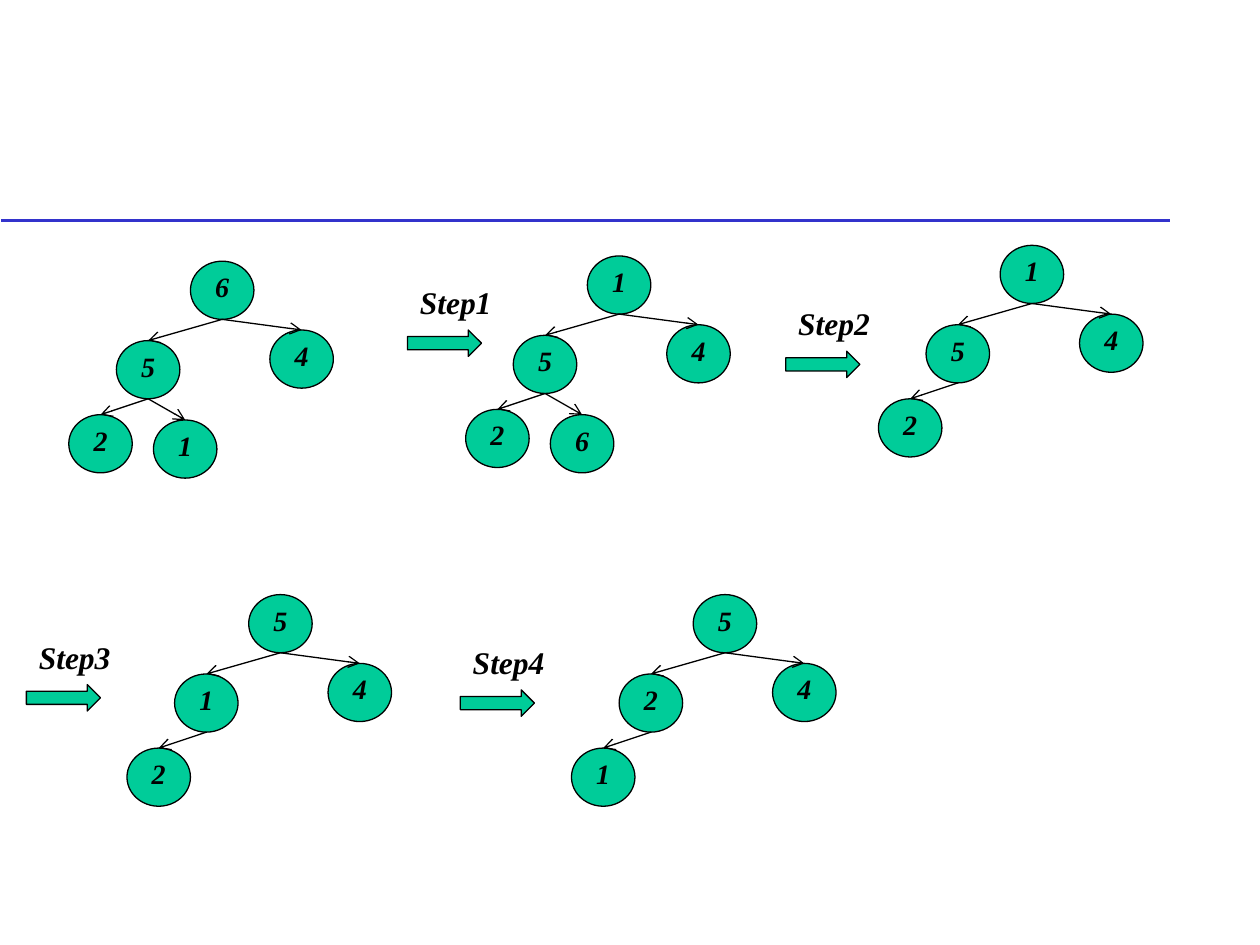
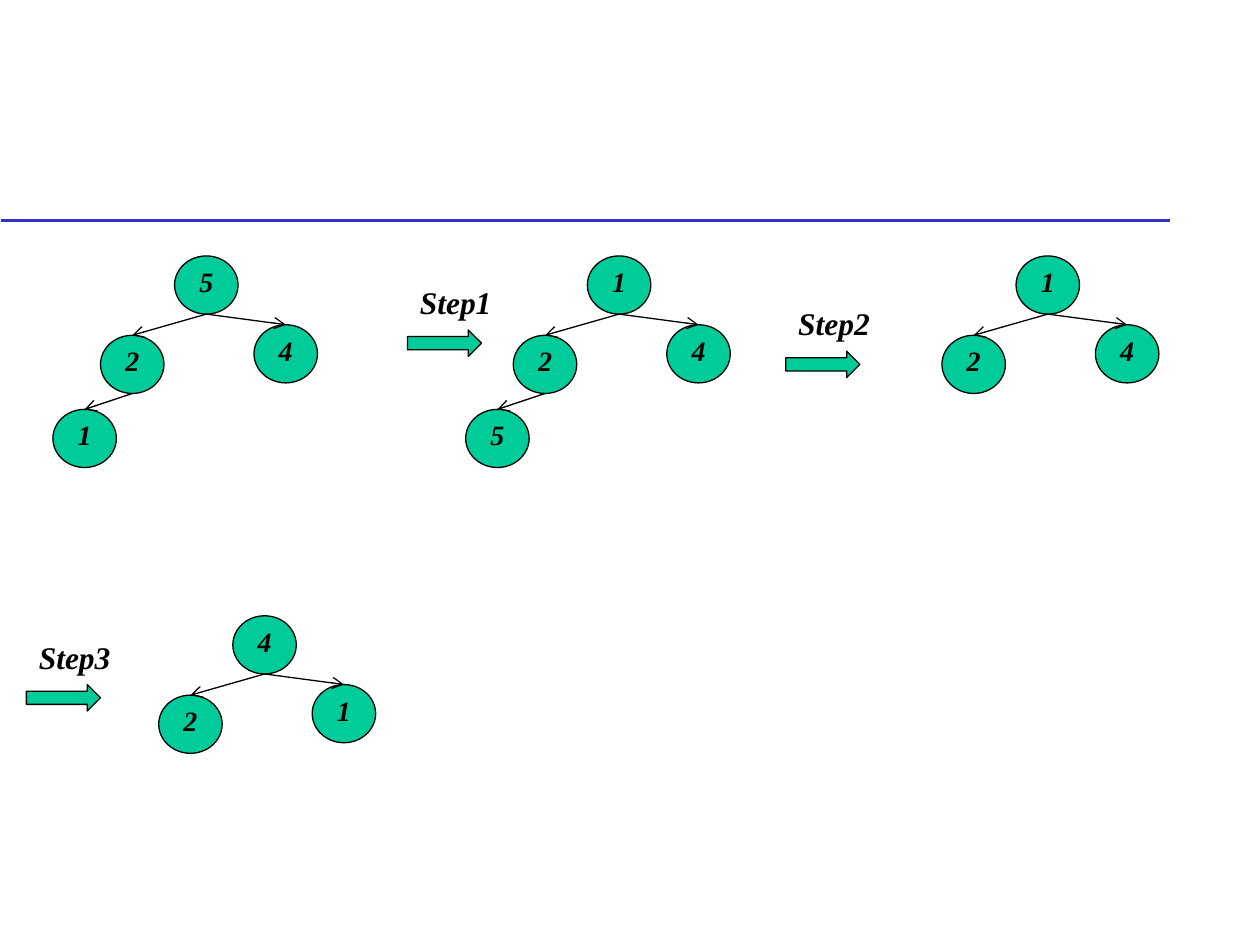
import dataclasses
import typing

import lxml.etree
import pptx
import pptx.dml.color
import pptx.enum.shapes
import pptx.enum.text
import pptx.oxml.ns
import pptx.util

GREEN = pptx.dml.color.RGBColor(0x00, 0xCC, 0x99)
BLACK = pptx.dml.color.RGBColor(0x00, 0x00, 0x00)
BLUE = pptx.dml.color.RGBColor(0x33, 0x33, 0xCC)
FONT = "Times New Roman"
SHAPES = pptx.enum.shapes.MSO_SHAPE

# Grid: square cells, counted from the left edge and from just below the top edge.
CELL = 0.042
TOP_MARGIN = 0.015
NODE_COLS, NODE_ROWS = 12, 11
ARROW_COLS, ARROW_ROWS = 14, 5
LABEL_COLS, LABEL_ROWS = 18.5, 9.5
LABEL_RISE = 10
RULE_START, RULE_END, RULE_ROW = 0.25, 221, 41.3

# Column and row of each heap position, relative to the root.
HEAP_OFFSETS = ((0, 0), (-14, 15), (15, 13), (-23, 29), (-7, 30))


@dataclasses.dataclass(frozen=True)
class Heap:
    """A heap in level order, with the column and row of its root."""
    col: float
    row: float
    keys: str


@dataclasses.dataclass(frozen=True)
class Step:
    col: float
    row: float


STEP_1, STEP_2, STEP_3 = Step(77, 62), Step(148.5, 66), Step(5, 129)
SLIDES = (
    (
        (STEP_1, STEP_2, STEP_3, Step(87, 130)),
        (
            Heap(36, 49, "65421"),
            Heap(111, 48, "15426"),
            Heap(189, 46, "1542"),
            Heap(47, 112, "5142"),
            Heap(131, 112, "5241"),
        ),
    ),
    (
        (STEP_1, STEP_2, STEP_3),
        (
            Heap(33, 48, "5241"),
            Heap(111, 48, "1245"),
            Heap(192, 48, "124"),
            Heap(44, 116, "421"),
        ),
    ),
)


def span(cells: float) -> pptx.util.Length:
    return pptx.util.Inches(cells * CELL)


def down(row: float) -> pptx.util.Length:
    return pptx.util.Inches(TOP_MARGIN + row * CELL)


def write(frame: typing.Any, text: str, *, size: float,
          align: typing.Any = None) -> None:
    paragraph = frame.paragraphs[0]
    paragraph.alignment = align
    run = paragraph.add_run()
    run.text = text
    run.font.name = FONT
    run.font.size = pptx.util.Pt(size)
    run.font.bold = run.font.italic = True
    run.font.color.rgb = BLACK


def draw_line(shapes: typing.Any, start: tuple[float, float], end: tuple[float, float],
              *, color: pptx.dml.color.RGBColor = BLACK, width: float = 0.75,
              arrow: bool = False) -> None:
    """Join two grid points, optionally with an open arrowhead at the end."""
    line = shapes.add_connector(
        pptx.enum.shapes.MSO_CONNECTOR.STRAIGHT,
        span(start[0]), down(start[1]), span(end[0]), down(end[1]))
    line.line.color.rgb = color
    line.line.width = pptx.util.Pt(width)
    qn = pptx.oxml.ns.qn
    properties = line.element.spPr
    if arrow:
        lxml.etree.SubElement(properties.find(qn("a:ln")), qn("a:tailEnd"), type="arrow")
    lxml.etree.SubElement(properties, qn("a:effectLst"))


def draw_green(shapes: typing.Any, preset: typing.Any, col: float, row: float,
               cols: float, rows: float) -> typing.Any:
    """Add a green preset shape with a thin black outline."""
    shape = shapes.add_shape(preset, span(col), down(row), span(cols), span(rows))
    shape.shadow.inherit = False
    shape.fill.solid()
    shape.fill.fore_color.rgb = GREEN
    shape.line.color.rgb = BLACK
    shape.line.width = pptx.util.Pt(0.75)
    return shape


def draw_node(shapes: typing.Any, key: str, col: float, row: float) -> None:
    node = draw_green(shapes, SHAPES.OVAL, col, row, NODE_COLS, NODE_ROWS)
    frame = node.text_frame
    frame.margin_left = frame.margin_right = frame.margin_top = frame.margin_bottom = 0
    frame.vertical_anchor = pptx.enum.text.MSO_ANCHOR.TOP
    write(frame, key, size=16, align=pptx.enum.text.PP_ALIGN.CENTER)


def draw_heap(slide: typing.Any, heap: Heap) -> None:
    """Group the nodes of a heap with the edges from parent to child."""
    shapes = slide.shapes.add_group_shape().shapes
    places = [(heap.col + col, heap.row + row) for col, row in HEAP_OFFSETS]
    for key, (col, row) in zip(heap.keys, places):
        draw_node(shapes, key, col, row)
    for child in range(1, len(heap.keys)):
        parent_col, parent_row = places[(child - 1) // 2]
        child_col, child_row = places[child]
        draw_line(shapes, (parent_col + NODE_COLS / 2, parent_row + NODE_ROWS),
                  (child_col + NODE_COLS / 2, child_row), arrow=True)


def draw_step(slide: typing.Any, number: int, step: Step) -> None:
    draw_green(slide.shapes, SHAPES.RIGHT_ARROW, step.col, step.row, ARROW_COLS, ARROW_ROWS)
    label = slide.shapes.add_textbox(span(step.col), down(step.row - LABEL_RISE),
                                     span(LABEL_COLS), span(LABEL_ROWS))
    label.text_frame.word_wrap = False
    label.text_frame.auto_size = pptx.enum.text.MSO_AUTO_SIZE.SHAPE_TO_FIT_TEXT
    write(label.text_frame, f"Step{number}", size=18)


def main() -> None:
    deck = pptx.Presentation()
    deck.slide_width, deck.slide_height = pptx.util.Inches(10), pptx.util.Inches(7.5)
    for steps, heaps in SLIDES:
        slide = deck.slides.add_slide(deck.slide_layouts[6])
        draw_line(slide.shapes, (RULE_START, RULE_ROW), (RULE_END, RULE_ROW),
                  color=BLUE, width=1.5)
        for number, step in enumerate(steps, start=1):
            draw_step(slide, number, step)
        for heap in heaps:
            draw_heap(slide, heap)
    deck.save("out.pptx")


if __name__ == "__main__":
    main()
